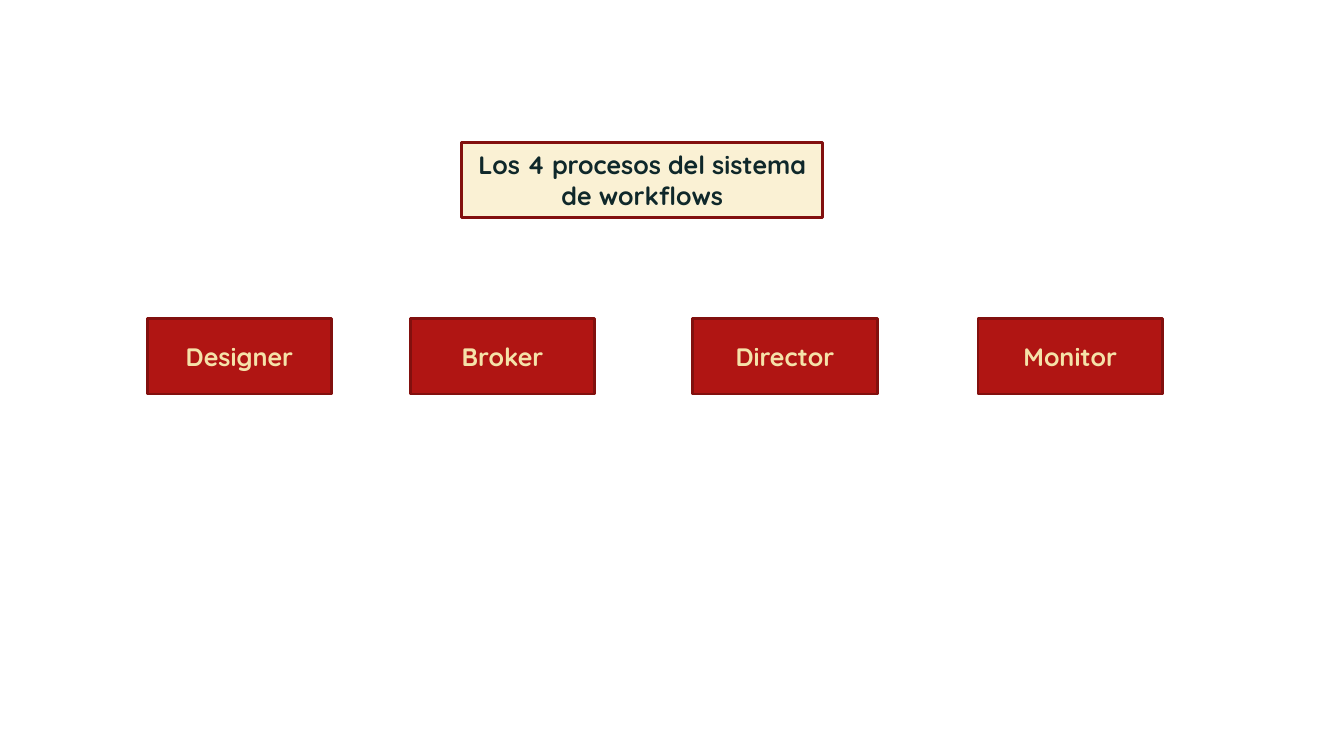
from dataclasses import dataclass

from pptx import Presentation
from pptx.dml.color import RGBColor
from pptx.enum import shapes, text
from pptx.util import Inches, Pt


@dataclass(frozen=True)
class Theme:
    font: str = "Quicksand"
    size: int = 18
    border_width: int = 2
    border: str = "82100E"
    title_fill: str = "FAF1D4"
    title_text: str = "0F282A"
    process_fill: str = "B01513"
    process_text: str = "F5E2A9"


THEME = Theme()
BOX_HEIGHT = 0.75
PROCESS_TOP = 3.16
PROCESS_WIDTH = 1.83
PROCESSES = [
    ("Designer", 1.46),
    ("Broker", 4.07),
    ("Director", 6.87),
    ("Monitor", 9.7),
]


def style_box(sp, label, fill, color):
    sp.fill.solid()
    sp.fill.fore_color.rgb = RGBColor.from_string(fill)
    sp.line.color.rgb = RGBColor.from_string(THEME.border)
    sp.line.width = Pt(THEME.border_width)
    tf = sp.text_frame
    tf.text = label
    tf.word_wrap = True
    tf.auto_size = text.MSO_AUTO_SIZE.NONE
    tf.vertical_anchor = text.MSO_ANCHOR.MIDDLE
    tf.margin_left = tf.margin_right = Inches(0.1)
    tf.margin_top = tf.margin_bottom = Inches(0.05)
    p = tf.paragraphs[0]
    p.alignment = text.PP_ALIGN.CENTER
    p.font.name = THEME.font
    p.font.size = Pt(THEME.size)
    p.font.bold = True
    p.font.color.rgb = RGBColor.from_string(color)


def set_title(s, label):
    sp = s.shapes.title
    sp.left, sp.top = Inches(4.58), Inches(1.41)
    sp.width, sp.height = Inches(3.58), Inches(BOX_HEIGHT)
    style_box(sp, label, THEME.title_fill, THEME.title_text)


def add_process(s, label, left):
    sp = s.shapes.add_shape(
        shapes.MSO_SHAPE.RECTANGLE,
        Inches(left), Inches(PROCESS_TOP),
        Inches(PROCESS_WIDTH), Inches(BOX_HEIGHT),
    )
    sp.shadow.inherit = False
    style_box(sp, label, THEME.process_fill, THEME.process_text)


def main():
    prs = Presentation()
    prs.slide_width, prs.slide_height = Inches(13.33), Inches(7.5)
    s = prs.slides.add_slide(prs.slide_layouts.get_by_name("Title Only"))
    set_title(s, "Los 4 procesos del sistema de workflows")
    for label, left in PROCESSES:
        add_process(s, label, left)
    prs.save("out.pptx")


if __name__ == "__main__":
    main()
